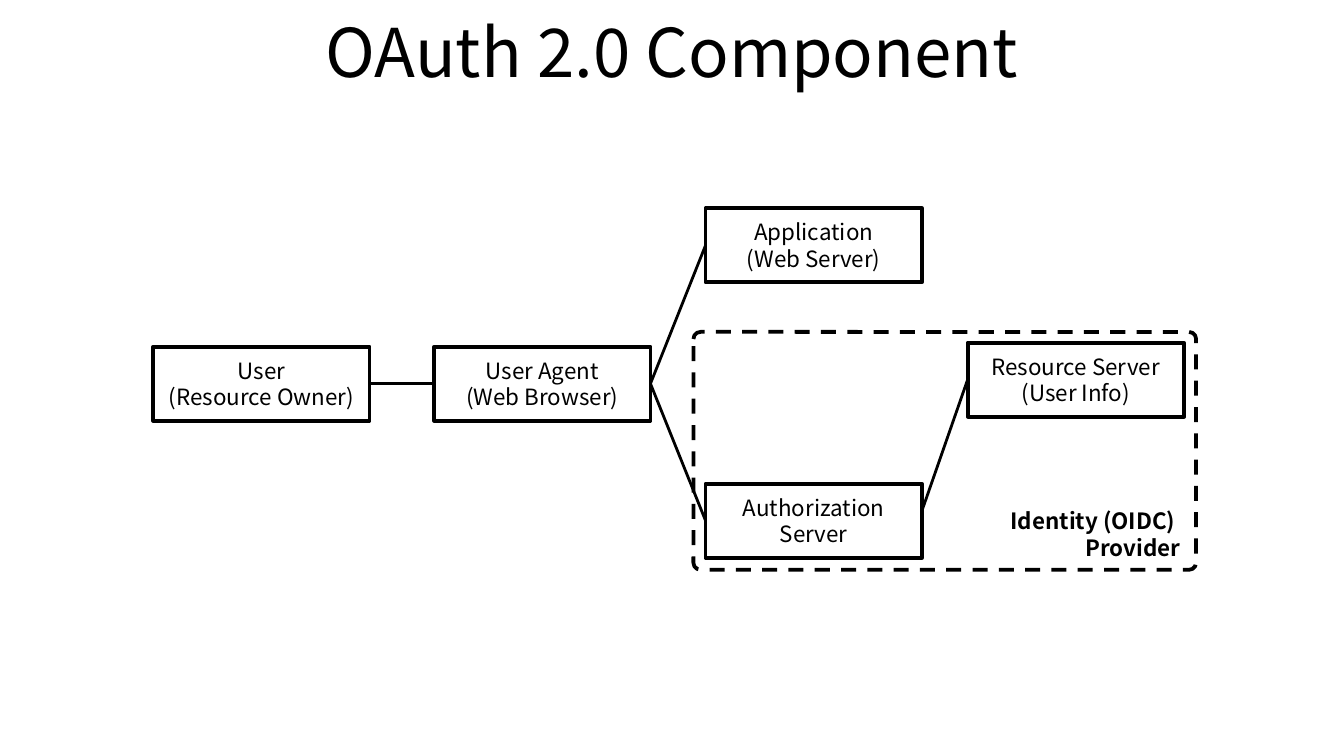
from pptx import Presentation
from pptx.dml.color import RGBColor
from pptx.enum.dml import MSO_LINE
from pptx.enum.shapes import MSO_CONNECTOR, MSO_SHAPE
from pptx.enum.text import MSO_ANCHOR, MSO_AUTO_SIZE, PP_ALIGN
from pptx.oxml.ns import qn
from pptx.util import Inches, Pt
from lxml.etree import SubElement

FONT = "Noto Sans CJK KR"
BLACK, WHITE = "000000", "FFFFFF"
NODE_W, NODE_H = 1.61, 0.55
LEFT, RIGHT = 1, 3


def paint(target, color):
    """Give a fill, line or font colour format a hex colour."""
    target.rgb = RGBColor.from_string(color)


def style(run, size, bold=False):
    """Format one run of text."""
    run.font.name, run.font.size, run.font.bold = FONT, Pt(size), bold
    paint(run.font.color, BLACK)


def panel(slide, box, radius):
    """Add a white outlined box and return it."""
    shape = slide.shapes.add_shape(
        MSO_SHAPE.ROUNDED_RECTANGLE, *[Inches(v) for v in box])
    shape.adjustments[0] = radius
    shape.shadow.inherit = False
    shape.fill.solid()
    paint(shape.fill.fore_color, WHITE)
    paint(shape.line.color, BLACK)
    shape.line.width = Pt(2)
    shape.text_frame.word_wrap = True
    return shape


def title(slide, box, text):
    """Place and format the slide title."""
    shape = slide.shapes.title
    shape.left, shape.top, shape.width, shape.height = [Inches(v) for v in box]
    frame = shape.text_frame
    frame.auto_size = MSO_AUTO_SIZE.NONE
    frame.vertical_anchor = MSO_ANCHOR.MIDDLE
    para = frame.paragraphs[0]
    para.alignment = PP_ALIGN.CENTER
    run = para.add_run()
    run.text = text
    style(run, 36)


def group(slide, box, lines):
    """Add the dashed provider area with its label at the bottom right."""
    shape = panel(slide, box, 0.03)
    shape.line.dash_style = MSO_LINE.DASH
    shape.text_frame.vertical_anchor = MSO_ANCHOR.BOTTOM
    para = shape.text_frame.paragraphs[0]
    para.alignment, para.line_spacing = PP_ALIGN.RIGHT, Pt(14.3)
    for i, text in enumerate(lines):
        if i:
            para.add_line_break()
        run = para.add_run()
        run.text = text
        style(run, 12, True)


def node(slide, left, top, lines):
    """Add one component box with centred lines and return it."""
    shape = panel(slide, (left, top, NODE_W, NODE_H), 0)
    frame = shape.text_frame
    frame.vertical_anchor = MSO_ANCHOR.MIDDLE
    frame.margin_left = frame.margin_right = Inches(0.08)
    for i, text in enumerate(lines):
        para = frame.add_paragraph() if i else frame.paragraphs[0]
        para.alignment, para.line_spacing = PP_ALIGN.CENTER, Pt(14.3)
        run = para.add_run()
        run.text = text
        style(run, 12)
    return shape


def link(slide, start, end):
    """Join the right side of one box to the left side of another."""
    line = slide.shapes.add_connector(MSO_CONNECTOR.STRAIGHT, 0, 0, 0, 0)
    line.begin_connect(start, RIGHT)
    line.end_connect(end, LEFT)
    paint(line.line.color, BLACK)
    line.line.width = Pt(1.5)
    SubElement(line._element.spPr, qn("a:effectLst"))
    return line


def diagram(slide, left, top):
    """Draw the components and their links from the given corner."""
    group(slide, (left + 4.02, top + 0.92, 3.74, 1.77),
          ["Identity (OIDC) ", "Provider"])
    user, agent, app, auth, store = [
        node(slide, left + x, top + y, lines) for x, y, lines in (
            (0, 1.03, ["User", "(Resource Owner)"]),
            (2.09, 1.03, ["User Agent", "(Web Browser)"]),
            (4.11, 0, ["Application", "(Web Server)"]),
            (4.11, 2.05, ["Authorization Server"]),
            (6.06, 1, ["Resource Server", "(User Info)"]))]
    for start, end in ((user, agent), (agent, app), (agent, auth)):
        link(slide, start, end)
    link(slide, auth, store).begin_y = Inches(top + 2.25)


def main():
    """Build the slide and save it."""
    deck = Presentation()
    deck.slide_width = Inches(10)
    deck.slide_height = deck.slide_width * 9 // 16
    slide = deck.slides.add_slide(deck.slide_layouts[5])
    title(slide, (0.5, -0.02, 9, 0.79), "OAuth 2.0 Component")
    diagram(slide, 1.14, 1.55)
    deck.save("out.pptx")


if __name__ == "__main__":
    main()
